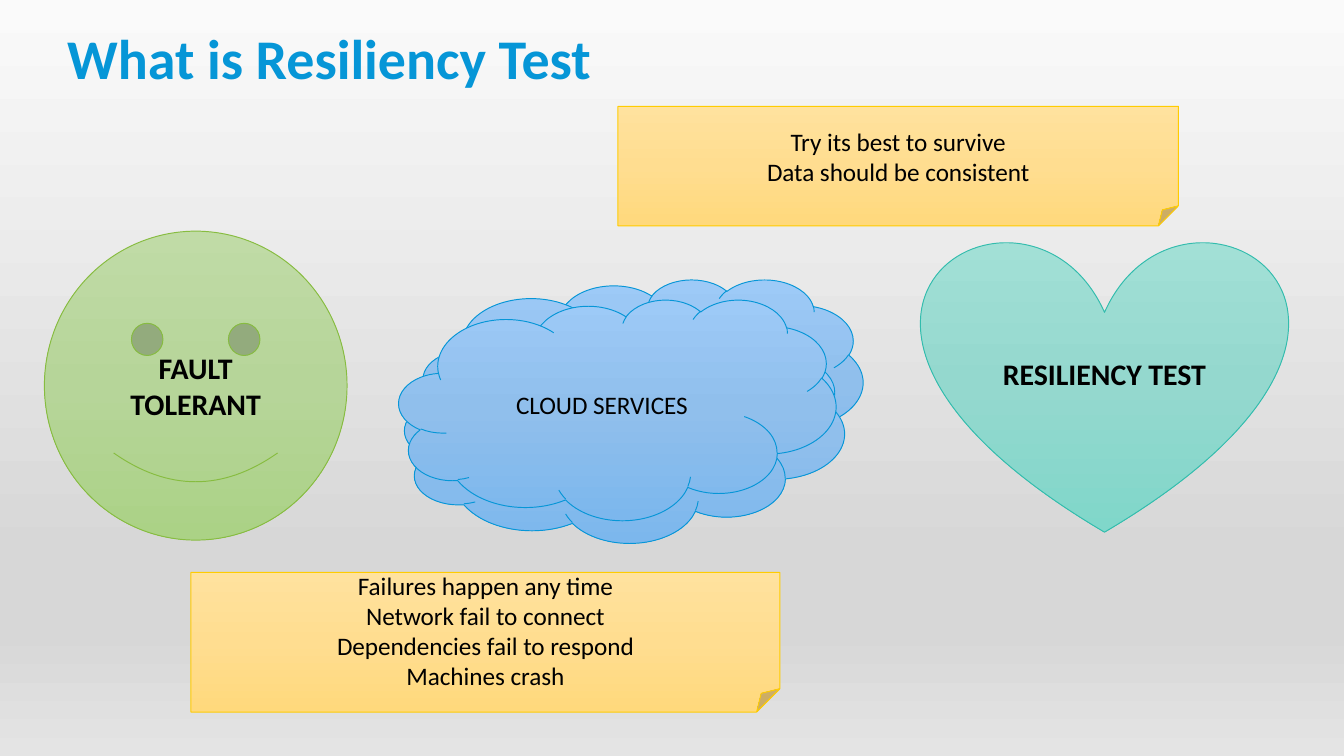
from copy import deepcopy

from pptx import Presentation
from pptx.dml.color import RGBColor
from pptx.enum.shapes import MSO_SHAPE
from pptx.enum.text import MSO_ANCHOR, MSO_AUTO_SIZE, PP_ALIGN
from pptx.util import Cm, Pt


def color(value):
    return RGBColor.from_string(value)


def shade(fill, stops):
    """Fill with a top-to-bottom gradient of (position, colour) stops."""
    fill.gradient()
    fill.gradient_angle = 270
    stop_list = fill.gradient_stops[0]._gs.getparent()
    while len(stop_list) < len(stops):
        stop_list.append(deepcopy(stop_list[0]))
    for stop, (position, value) in zip(fill.gradient_stops, stops):
        stop.position = position
        stop.color.rgb = color(value)


# Three gradient colours, then the outline
BLUE = ("9DCAF7", "90BFEC", "7CB7ED", "0696D7")
TEAL = ("A2E0D6", "94D8CE", "80D7CA", "32BCAD")
GREEN = ("C0DBA6", "B6D599", "ABD286", "87BC40")
YELLOW = ("FFE29E", "FFDD90", "FFD97C", "FFCC00")

TITLE = {"name": "Calibri", "size": Pt(30), "bold": True}
LABEL = {"name": "Calibri", "size": Pt(16), "bold": True}
PLAIN = {"name": "Calibri", "size": Pt(13.5), "bold": False}

deck = Presentation()
deck.slide_width, deck.slide_height = Cm(25.4), Cm(14.29)
page = deck.slides.add_slide(deck.slide_layouts[5])
shade(page.background.fill,
      [(0, "FAFAFA"), (0.74, "D7D7D7"), (0.83, "D7D7D7"), (1, "E4E4E4")])

title = page.shapes.title
title.left, title.top, title.width, title.height = Cm(1.27), Cm(0.58), Cm(22.86), Cm(2.39)
frame = title.text_frame
frame.text = "What is Resiliency Test"
frame_format = {"margin_left": 0, "margin_top": 0, "margin_right": 0, "margin_bottom": 0,
                "vertical_anchor": MSO_ANCHOR.TOP, "auto_size": MSO_AUTO_SIZE.NONE}
for key, value in frame_format.items():
    setattr(frame, key, value)
para = frame.paragraphs[0]
para.alignment = PP_ALIGN.LEFT
para.line_spacing = 0.9
span = para.runs[0]
for key, value in TITLE.items():
    setattr(span.font, key, value)
span.font.color.rgb = color("0696D7")

# Kind, left, top, width, height in cm, palette, lines of text, font
figures = [
    (MSO_SHAPE.CLOUD, 8, 5.28, 8.31, 4.01, BLUE, [], PLAIN),
    (MSO_SHAPE.CLOUD, 7.65, 6.25, 8.31, 4.01, BLUE, [], PLAIN),
    (MSO_SHAPE.CLOUD, 7.54, 5.66, 8.26, 4.17, BLUE, ["CLOUD SERVICES"], PLAIN),
    (MSO_SHAPE.HEART, 17.42, 4.52, 6.91, 5.54, TEAL, ["RESILIENCY TEST"], LABEL),
    (MSO_SHAPE.SMILEY_FACE, 0.84, 4.37, 5.72, 5.84, GREEN, ["FAULT TOLERANT"], LABEL),
    (MSO_SHAPE.FOLDED_CORNER, 3.61, 10.82, 11.13, 2.64, YELLOW,
     ["Failures happen any time", "Network fail to connect",
      "Dependencies fail to respond", "Machines crash"], PLAIN),
    (MSO_SHAPE.FOLDED_CORNER, 11.68, 2.01, 10.59, 2.26, YELLOW,
     ["Try its best to survive", "Data should be consistent"], PLAIN),
]
for kind, left, top, width, height, palette, lines, font in figures:
    shape = page.shapes.add_shape(kind, Cm(left), Cm(top), Cm(width), Cm(height))
    shape.shadow.inherit = False
    shade(shape.fill, list(zip((0, 0.5, 1), palette)))
    shape.line.color.rgb = color(palette[3])
    shape.line.width = Pt(0.5)
    frame = shape.text_frame
    frame.word_wrap = True
    frame.vertical_anchor = MSO_ANCHOR.MIDDLE
    frame.text = "\n".join(lines)
    for para in frame.paragraphs:
        para.alignment = PP_ALIGN.CENTER
        for span in para.runs:
            for key, value in font.items():
                setattr(span.font, key, value)
            span.font.color.rgb = color("000000")

deck.save("out.pptx")
